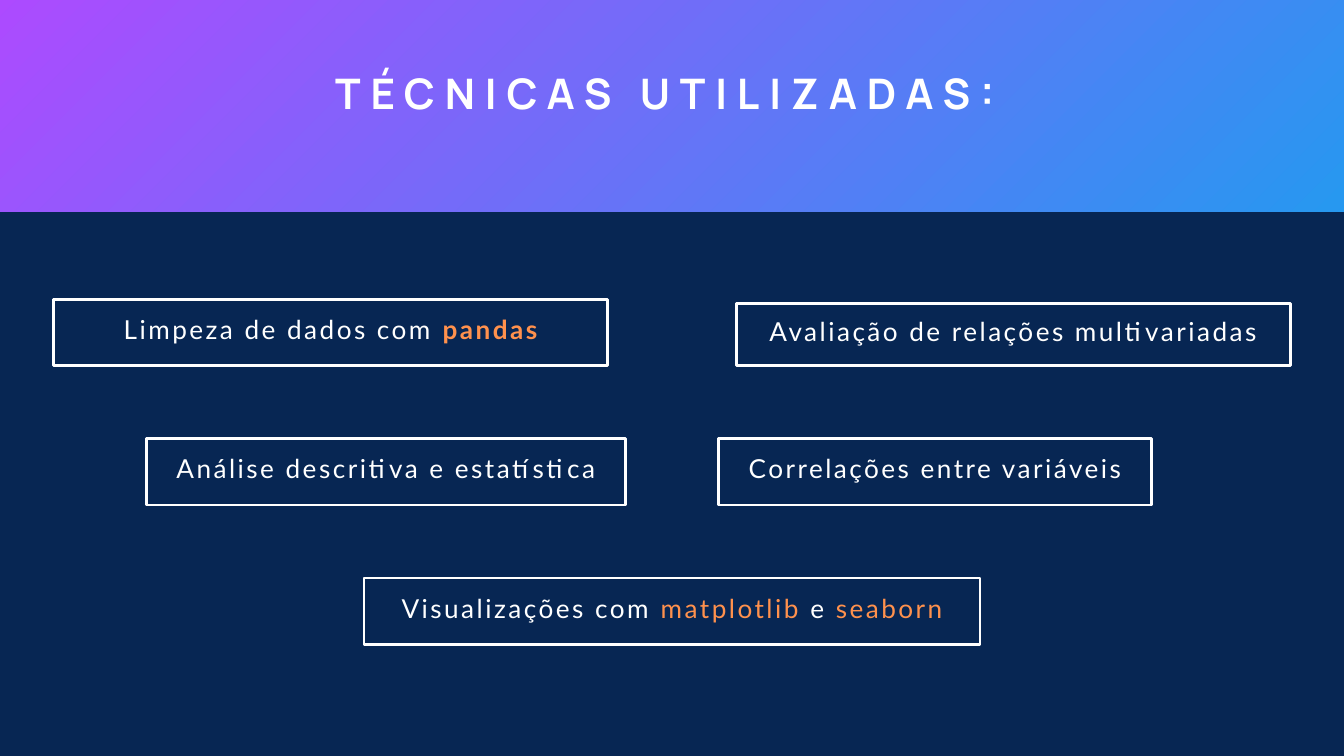
from pptx import Presentation
from pptx.dml.color import RGBColor
from pptx.enum.shapes import MSO_SHAPE
from pptx.enum.text import MSO_ANCHOR, PP_ALIGN
from pptx.util import Pt

RECT = MSO_SHAPE.RECTANGLE
MIDDLE = MSO_ANCHOR.MIDDLE
CENTER = PP_ALIGN.CENTER

# Content
COLORS = {
    "navy": "072653", "white": "FFFFFF", "orange": "FF914D",
    "purple": "AF49FF", "blue": "2599F0",
}
TITLE = [("TÉCNICAS UTILIZADAS:", "white", True)]
# Each box: left, width, height, row, runs (text, color, bold)
BOXES = [
    (57.6, 593.3, 71.3, 0, [("Limpeza de dados com ", "white", False),
                            ("pandas", "orange", True)]),
    (156.7, 513.9, 71.3, 1, [("Análise descritiva e estatística", "white", False)]),
    (390, 660, 71.3, 2, [("Visualizações com ", "white", False),
                         ("matplotlib", "orange", False),
                         (" e ", "white", False),
                         ("seaborn", "orange", False)]),
    (769.7, 464.4, 71.3, 1, [("Correlações entre variáveis", "white", False)]),
    (789.1, 593.3, 66.6, 0, [("Avaliação de relações multivariadas", "white", False)]),
]

# Layout
WIDTH, HEIGHT = 1440, 810
BLEED, BAND = 31.7, 226.8
BASE, PITCH = 391.8, 149.4  # bottom edge of the first row, row step
TITLE_RISE, BOX_RISE = 36.7, 12.2  # text area reaches above its frame
TITLE_FONT = {"name": "Manrope", "size": 45.1, "gap": 10.6, "line": 62.2}
BOX_FONT = {"name": "Lato", "size": 28, "gap": 2.7, "line": 38.6}


def rgb(name):
    return RGBColor.from_string(COLORS[name])


def add_rect(slide, left, top, width, height):
    shape = slide.shapes.add_shape(RECT, Pt(left), Pt(top), Pt(width), Pt(height))
    shape.shadow.inherit = False
    return shape


def add_text(slide, left, top, width, height, runs, style):
    frame = slide.shapes.add_textbox(
        Pt(left), Pt(top), Pt(width), Pt(height)).text_frame
    frame.word_wrap = True
    frame.vertical_anchor = MIDDLE
    frame.margin_left = frame.margin_right = Pt(4)
    frame.margin_top = frame.margin_bottom = Pt(4)
    para = frame.paragraphs[0]
    para.alignment = CENTER
    para.line_spacing = Pt(style["line"])
    for text, color, bold in runs:
        run = para.add_run()
        run.text = text
        font = run.font
        font.name, font.size, font.bold = style["name"], Pt(style["size"]), bold
        font.color.rgb = rgb(color)
        run._r.get_or_add_rPr().set("spc", str(round(style["gap"] * 100)))


def add_band(slide):
    width = WIDTH + 2 * BLEED - 14.4
    band = add_rect(slide, -BLEED, 0, width, BAND)
    band.line.fill.background()
    band.fill.gradient()
    band.fill.gradient_angle = 315
    for stop, name, pos in zip(band.fill.gradient_stops, ("purple", "blue"), (0, 1)):
        stop.color.rgb = rgb(name)
        stop.position = pos
    add_text(slide, -BLEED, -TITLE_RISE, width, BAND + TITLE_RISE, TITLE, TITLE_FONT)


def add_box(slide, left, width, height, row, runs):
    top = BASE + row * PITCH - height
    box = add_rect(slide, left, top, width, height)
    box.fill.background()
    box.line.color.rgb = rgb("white")
    box.line.width = Pt(3)
    add_text(slide, left, top - BOX_RISE, width, height + BOX_RISE, runs, BOX_FONT)


def main():
    deck = Presentation()
    deck.slide_width, deck.slide_height = Pt(WIDTH), Pt(HEIGHT)
    slide = deck.slides.add_slide(deck.slide_layouts[6])

    # Background
    back = slide.background.fill
    back.solid()
    back.fore_color.rgb = rgb("navy")

    # Title band, then the technique boxes
    add_band(slide)
    for box in BOXES:
        add_box(slide, *box)

    deck.save("out.pptx")


if __name__ == "__main__":
    main()
